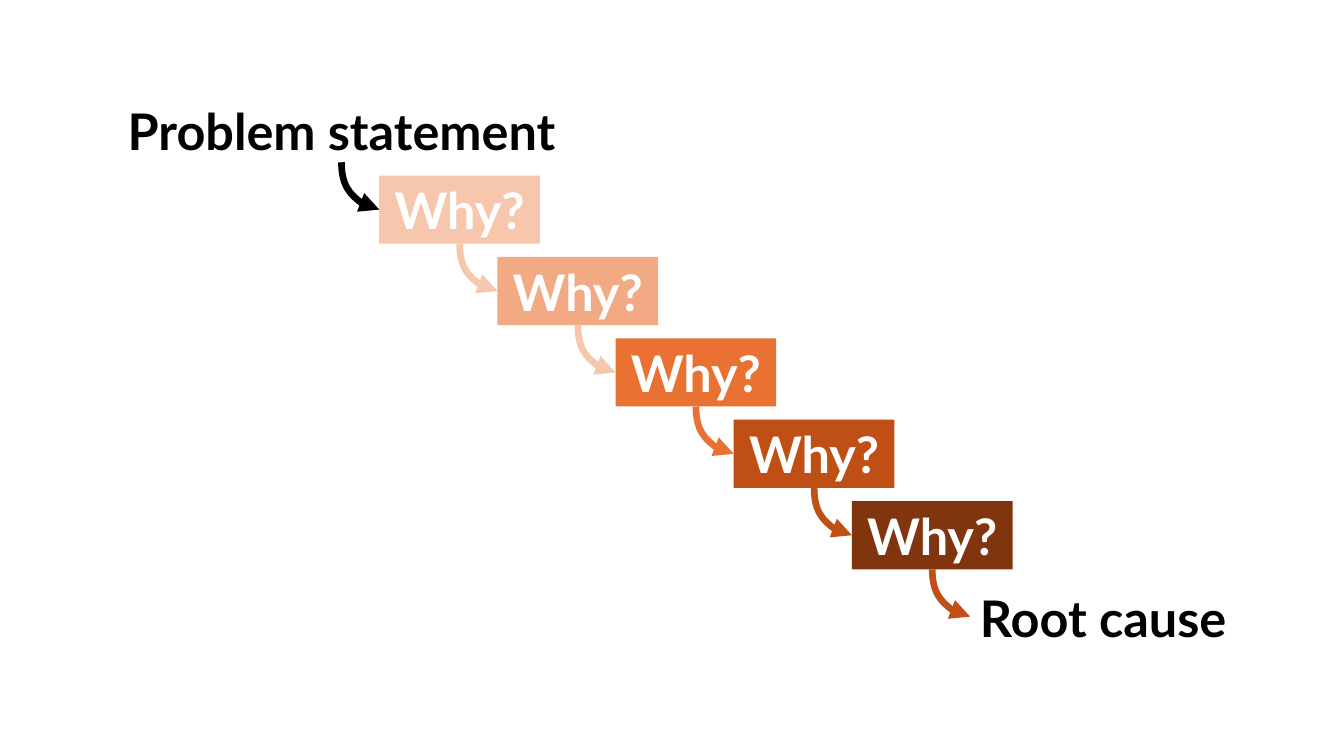
from dataclasses import dataclass

from lxml import etree
from pptx import Presentation
from pptx.dml.color import RGBColor
from pptx.enum.shapes import MSO_CONNECTOR, MSO_SHAPE
from pptx.enum.text import MSO_ANCHOR, PP_ALIGN
from pptx.oxml.ns import qn
from pptx.shapes.autoshape import Shape
from pptx.slide import Slide
from pptx.util import Pt

RECTANGLE = MSO_SHAPE.RECTANGLE
CURVE = MSO_CONNECTOR.CURVE
MIDDLE = MSO_ANCHOR.MIDDLE
LEFT = PP_ALIGN.LEFT
CENTER = PP_ALIGN.CENTER

BLACK = RGBColor(0x00, 0x00, 0x00)
WHITE = RGBColor(0xFF, 0xFF, 0xFF)
PALE = RGBColor(0xF6, 0xC6, 0xAD)
LIGHT = RGBColor(0xF2, 0xAA, 0x84)
ORANGE = RGBColor(0xE9, 0x71, 0x32)
RUST = RGBColor(0xC0, 0x4F, 0x15)
BROWN = RGBColor(0x80, 0x35, 0x0E)

FIRST_LEFT, FIRST_TOP = 270.9, 125.4
WHY_WIDTH, WHY_HEIGHT = 114.8, 48.7
STEP_RIGHT, STEP_DOWN = 84.4, 58.15


@dataclass(frozen=True)
class Label:
    text: str
    left: float
    top: float
    width: float
    height: float
    align: PP_ALIGN


@dataclass(frozen=True)
class Step:
    fill: RGBColor
    arrow: RGBColor


LABELS = [
    Label("Problem statement", 69, 70, 350, 46, CENTER),
    Label("Root cause", 692.9, 412, 198, 58, LEFT),
]
STEPS = [
    Step(PALE, PALE),
    Step(LIGHT, PALE),
    Step(ORANGE, ORANGE),
    Step(RUST, RUST),
    Step(BROWN, RUST),
]


def write(shape: Shape, text: str, color: RGBColor, align: PP_ALIGN) -> None:
    frame = shape.text_frame
    frame.word_wrap = True
    frame.vertical_anchor = MIDDLE
    paragraph = frame.paragraphs[0]
    paragraph.alignment = align
    run = paragraph.add_run()
    run.text = text
    run.font.name = "Lato"
    run.font.size = Pt(36)
    run.font.bold = True
    run.font.color.rgb = color


def draw_label(slide: Slide, label: Label) -> None:
    box = slide.shapes.add_textbox(
        Pt(label.left), Pt(label.top), Pt(label.width), Pt(label.height)
    )
    write(box, label.text, BLACK, label.align)


def draw_why(slide: Slide, index: int, fill: RGBColor) -> None:
    why = slide.shapes.add_shape(
        RECTANGLE,
        Pt(FIRST_LEFT + index * STEP_RIGHT),
        Pt(FIRST_TOP + index * STEP_DOWN),
        Pt(WHY_WIDTH),
        Pt(WHY_HEIGHT),
    )
    why.shadow.inherit = False
    why.fill.solid()
    why.fill.fore_color.rgb = fill
    why.line.fill.background()
    write(why, "Why?", WHITE, CENTER)


def draw_arrow(slide: Slide, index: int, color: RGBColor) -> None:
    start_x = FIRST_LEFT + index * STEP_RIGHT + WHY_WIDTH / 2
    start_y = FIRST_TOP + index * STEP_DOWN + WHY_HEIGHT
    across = STEP_RIGHT - WHY_WIDTH / 2
    down = STEP_DOWN - WHY_HEIGHT / 2
    center_x, center_y = start_x + across / 2, start_y + down / 2
    arrow = slide.shapes.add_connector(
        CURVE,
        Pt(center_x + down / 2),
        Pt(center_y - across / 2),
        Pt(center_x - down / 2),
        Pt(center_y + across / 2),
    )
    arrow.line.color.rgb = color
    arrow.line.width = Pt(4.75)
    properties = arrow._element.spPr
    properties.find(qn("a:xfrm")).set("rot", str(270 * 60000))
    properties.find(qn("a:prstGeom")).set("prst", "curvedConnector2")
    etree.SubElement(properties.find(qn("a:ln")), qn("a:tailEnd"), type="triangle")
    etree.SubElement(properties, qn("a:effectLst"))


def main() -> None:
    presentation = Presentation()
    presentation.slide_width = Pt(960)
    presentation.slide_height = Pt(540)
    slide = presentation.slides.add_slide(presentation.slide_layouts[6])
    for label in LABELS:
        draw_label(slide, label)
    for index, step in enumerate(STEPS):
        draw_why(slide, index, step.fill)
    for index, color in enumerate([BLACK] + [step.arrow for step in STEPS], start=-1):
        draw_arrow(slide, index, color)
    presentation.save("out.pptx")


if __name__ == "__main__":
    main()
